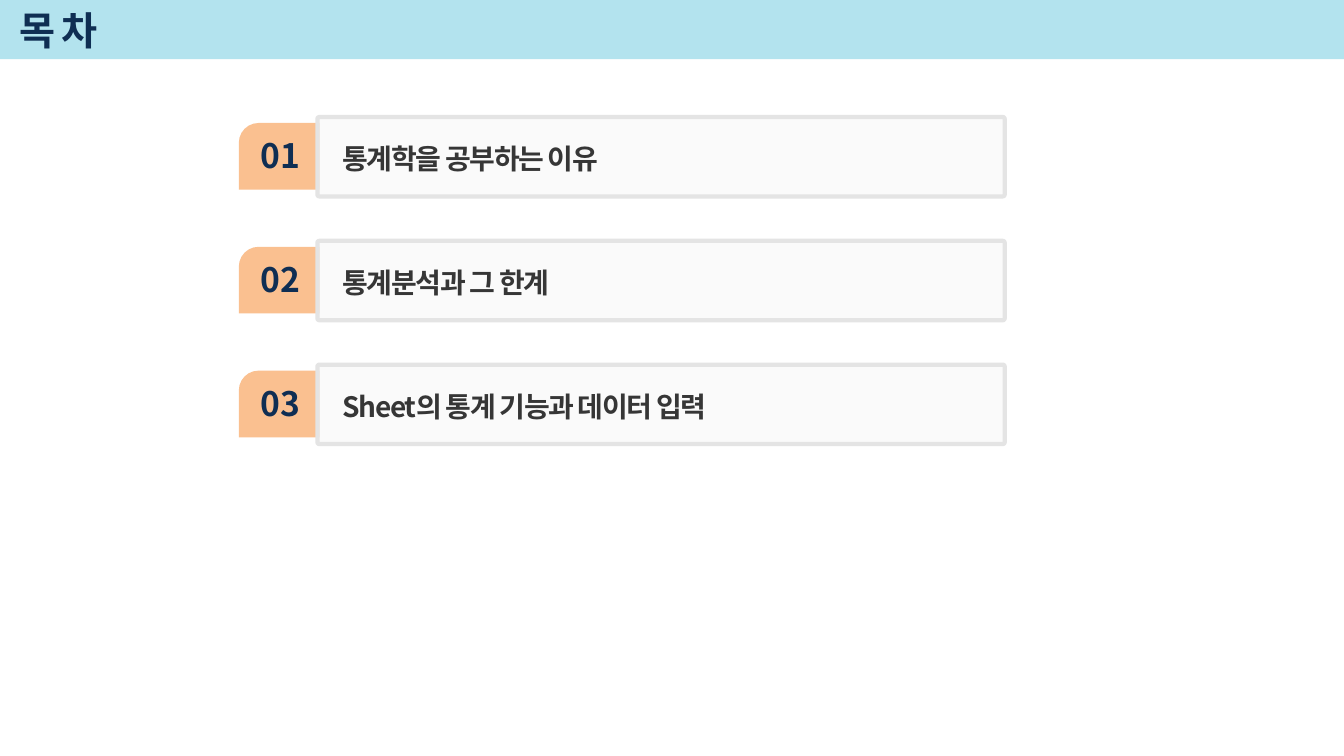
from lxml import etree
from pptx import Presentation
from pptx import util as u
from pptx.dml.color import RGBColor
from pptx.enum import shapes, text
from pptx.oxml.ns import qn

# Content
TITLE = "목 차"
TOPICS = [
    "통계학을 공부하는 이유",
    "통계분석과 그 한계",
    "Sheet의 통계 기능과 데이터 입력",
]

THEME = {
    "font": "Noto Sans CJK KR",
    "band": "B3E3EE", "tab": "FAC090", "card": "F2F2F2", "edge": "E4E4E4",
    "navy": "0F2E53", "ink": "363636",
    "title_size": 28, "number_size": 24, "topic_size": 20,
}

# Layout in centimetres: left, top, width, height (tops of the first row)
SLIDE = (33.87, 19.05)
BAND = (0, -0.05, SLIDE[0], 1.54)
TITLE_BOX = (0.23, 0.1, 28.83, 1.32)
TAB = (6.02, 3.1, 2.03, 1.68)
NUMBER = (6.32, 3.28, 1.5, 1.27)
CARD = (8, 2.95, 17.32, 2)
TOPIC = (8.38, 3.36, 13.41, 1.12)
ROW_PITCH = 3.12


def color(name):
    return RGBColor.from_string(THEME[name])


def place(box, row=0):
    left, top, width, height = box
    return [u.Cm(n) for n in (left, top + row * ROW_PITCH, width, height)]


def set_values(target, values):
    for name, value in values.items():
        setattr(target, name, value)


def add_shape(page, kind, box, fill, adjustments=(), row=0):
    shape = page.shapes.add_shape(kind, *place(box, row))
    shape.shadow.inherit = False
    shape.fill.solid()
    shape.fill.fore_color.rgb = color(fill)
    shape.line.fill.background()
    for index, value in enumerate(adjustments):
        shape.adjustments[index] = value
    return shape


def write(shape, words, size, ink, frame_format, para_format, tracking=0):
    frame = shape.text_frame
    set_values(frame, frame_format)
    para = frame.paragraphs[0]
    set_values(para, para_format)
    span = para.add_run()
    span.text = words
    set_values(span.font, {"name": THEME["font"], "size": u.Pt(THEME[size]), "bold": True})
    span.font.color.rgb = color(ink)
    # East Asian typeface and letter spacing
    props = span.font._element
    props.set("spc", str(tracking * 100))
    latin = props.find(qn("a:latin"))
    east_asian = etree.Element(qn("a:ea"), typeface=THEME["font"])
    latin.addnext(east_asian)


def add_row(page, row, topic):
    # Numbered tab
    add_shape(page, shapes.MSO_SHAPE.SNIP_ROUND_RECTANGLE, TAB, "tab", (0.296, 0), row)
    number = page.shapes.add_textbox(*place(NUMBER, row))
    write(number, f"{row + 1:02}", "number_size", "navy",
          {"word_wrap": False, "auto_size": text.MSO_AUTO_SIZE.SHAPE_TO_FIT_TEXT},
          {"alignment": text.PP_ALIGN.CENTER})

    # Translucent card
    card = add_shape(page, shapes.MSO_SHAPE.ROUNDED_RECTANGLE, CARD, "card", (0.023,), row)
    card.line.color.rgb = color("edge")
    card.line.width = u.Pt(3)
    fill_color = card._element.spPr.find(qn("a:solidFill"))[0]
    etree.SubElement(fill_color, qn("a:alpha"), val="33000")

    # Topic
    label = page.shapes.add_textbox(*place(TOPIC, row))
    write(label, topic, "topic_size", "ink",
          {"word_wrap": True, "auto_size": text.MSO_AUTO_SIZE.SHAPE_TO_FIT_TEXT},
          {"line_spacing": 1.1, "space_after": u.Pt(3)}, tracking=-1)


def main():
    deck = Presentation()
    deck.slide_width, deck.slide_height = (u.Cm(n) for n in SLIDE)
    page = deck.slides.add_slide(deck.slide_layouts[5])

    # Header band with the title in front
    band = add_shape(page, shapes.MSO_SHAPE.RECTANGLE, BAND, "band")
    title = page.shapes.title
    set_values(title, dict(zip(("left", "top", "width", "height"), place(TITLE_BOX))))
    band._element.addnext(title._element)
    write(title, TITLE, "title_size", "navy",
          {"word_wrap": True, "vertical_anchor": text.MSO_ANCHOR.MIDDLE,
           "auto_size": text.MSO_AUTO_SIZE.NONE},
          {"alignment": text.PP_ALIGN.LEFT}, tracking=-1)

    # Agenda rows
    for row, topic in enumerate(TOPICS):
        add_row(page, row, topic)

    deck.save("out.pptx")


if __name__ == "__main__":
    main()
